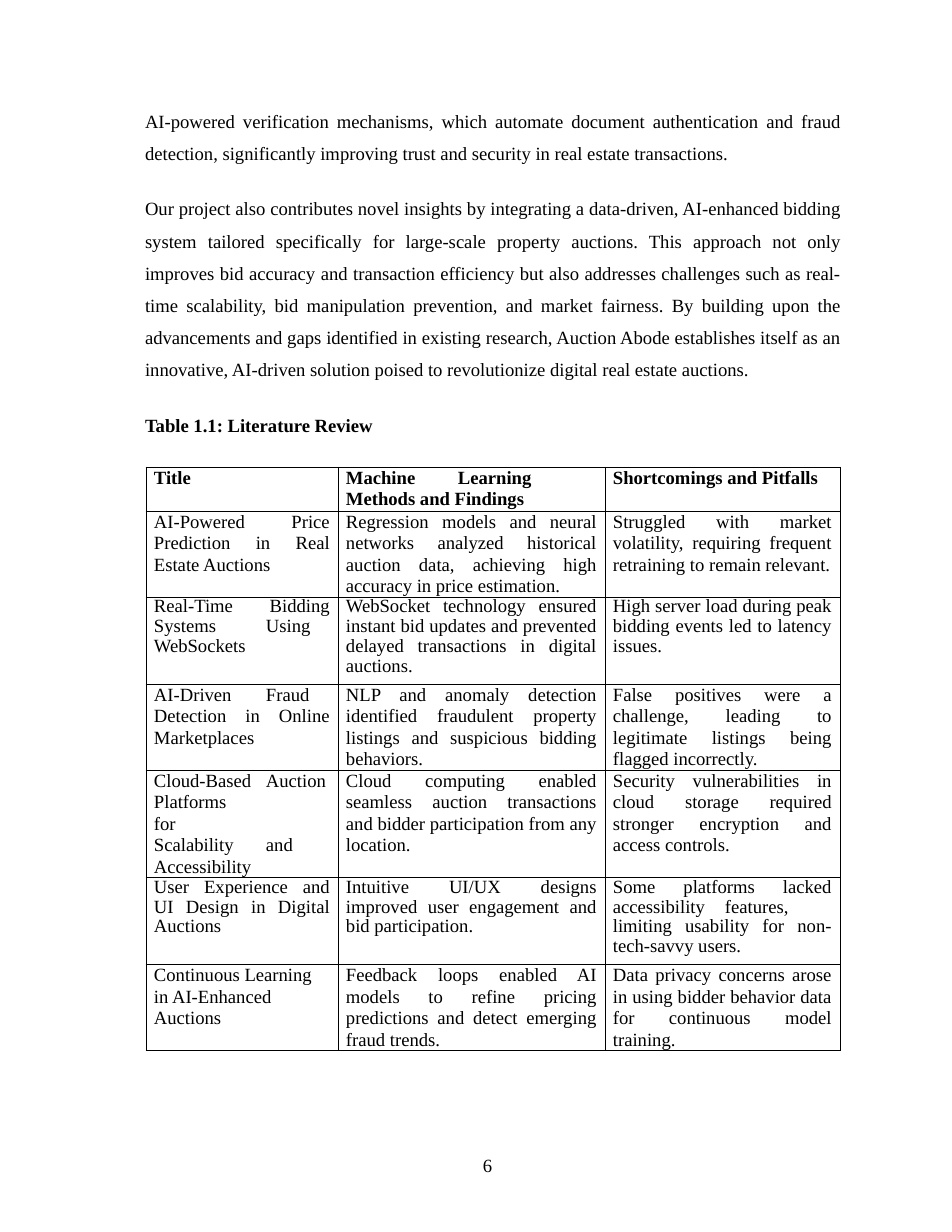
import lxml.etree
import pptx
import pptx.dml.color
import pptx.enum.text
import pptx.oxml.ns
import pptx.util

EMU_PER_PX = 914400 // 112
BLACK = pptx.dml.color.RGBColor(0x00, 0x00, 0x00)
WHITE = pptx.dml.color.RGBColor(0xFF, 0xFF, 0xFF)
LEFT = pptx.enum.text.PP_ALIGN.LEFT
JUSTIFY = pptx.enum.text.PP_ALIGN.JUSTIFY
FIXED = pptx.util.Pt(13.8)
TIGHT = 0.96

INTRODUCTION = (
    "AI-powered verification mechanisms, which automate document authentication and fraud "
    "detection, significantly improving trust and security in real estate transactions."
)
CONTRIBUTION = (
    "Our project also contributes novel insights by integrating a data-driven, AI-enhanced "
    "bidding system tailored specifically for large-scale property auctions. This approach not "
    "only improves bid accuracy and transaction efficiency but also addresses challenges such as "
    "real-time scalability, bid manipulation prevention, and market fairness. By building upon "
    "the advancements and gaps identified in existing research, Auction Abode establishes itself "
    "as an innovative, AI-driven solution poised to revolutionize digital real estate auctions."
)

COLUMN_WIDTHS = [192, 267, 235]
ROW_HEIGHTS = [44, 86, 87, 86, 87, 87, 86]
ROWS = [
    ["Title", "Machine\tLearning\tMethods and Findings", "Shortcomings and Pitfalls"],
    ["AI-Powered Price Prediction in Real Estate Auctions",
     "Regression models and neural networks analyzed historical auction data, achieving high "
     "accuracy in price estimation.",
     "Struggled with market volatility, requiring frequent retraining to remain relevant."],
    ["Real-Time Bidding Systems\tUsing WebSockets",
     "WebSocket technology ensured instant bid updates and prevented delayed transactions in "
     "digital auctions.",
     "High server load during peak bidding events led to latency issues."],
    ["AI-Driven\tFraud Detection in Online Marketplaces",
     "NLP and anomaly detection identified fraudulent property listings and suspicious bidding "
     "behaviors.",
     "False positives were a challenge, leading to legitimate listings being flagged "
     "incorrectly."],
    ["Cloud-Based\tAuction Platforms\t\tfor\nScalability\tand Accessibility",
     "Cloud computing enabled seamless auction transactions and bidder participation from any "
     "location.",
     "Security vulnerabilities in cloud storage required stronger encryption and access "
     "controls."],
    ["User Experience and UI Design in Digital Auctions",
     "Intuitive UI/UX designs improved user engagement and bid participation.",
     "Some platforms lacked accessibility\tfeatures, limiting usability for non- tech-savvy "
     "users."],
    ["Continuous Learning in AI-Enhanced Auctions",
     "Feedback loops enabled AI models to refine pricing predictions and detect emerging fraud "
     "trends.",
     "Data privacy concerns arose in using bidder behavior data for continuous model training."],
]
TIGHT_ROWS = {2, 5}
LEFT_ALIGNED = {(4, 0), (6, 0)}
# Tab stops in px for each paragraph of a cell, keyed by (row, column).
TAB_STOPS = {
    (0, 1): [[96, 188]],
    (2, 0): [[139]],
    (3, 0): [[140]],
    (4, 0): [[123, 161], [157]],
    (5, 2): [[162]],
}


def px(length):
    return pptx.util.Emu(length * EMU_PER_PX)


def write_paragraph(paragraph, text, *, bold=False, align=LEFT, spacing=1.0, before=0,
                    indent=0, right_indent=0, tabs=()):
    paragraph.text = text
    paragraph.alignment = align
    paragraph.line_spacing = spacing
    paragraph.space_before = pptx.util.Pt(before)
    for run in paragraph.runs:
        run.font.name = "Times New Roman"
        run.font.size = pptx.util.Pt(12)
        run.font.bold = bold
        run.font.color.rgb = BLACK
    properties = paragraph._p.get_or_add_pPr()
    properties.set("marL", str(px(indent)))
    properties.set("marR", str(px(right_indent)))
    properties.set("indent", "0")
    if tabs:
        tab_list = lxml.etree.SubElement(properties, pptx.oxml.ns.qn("a:tabLst"))
        for stop in tabs:
            lxml.etree.SubElement(tab_list, pptx.oxml.ns.qn("a:tab"),
                                  pos=str(px(stop)), algn="l")


def outline_cell(cell):
    properties = cell._tc.get_or_add_tcPr()
    for side in ("lnL", "lnR", "lnT", "lnB"):
        line = lxml.etree.SubElement(properties, pptx.oxml.ns.qn(f"a:{side}"),
                                     w=str(pptx.util.Pt(0.5)))
        fill = lxml.etree.SubElement(line, pptx.oxml.ns.qn("a:solidFill"))
        lxml.etree.SubElement(fill, pptx.oxml.ns.qn("a:srgbClr"), val=str(BLACK))


class Page:
    """Holds the current slide and the style of its elements."""

    cell_indent = 8

    def __init__(self, slide):
        self.slide = slide

    def text_box(self, left, top, width, height, paragraphs):
        """Add a box from (text, format) pairs."""
        shape = self.slide.shapes.add_textbox(px(left), px(top), px(width), px(height))
        frame = shape.text_frame
        frame.word_wrap = True
        frame.margin_left = frame.margin_right = frame.margin_bottom = 0
        frame.margin_top = 0
        for index, (text, style) in enumerate(paragraphs):
            paragraph = frame.add_paragraph() if index else frame.paragraphs[0]
            write_paragraph(paragraph, text, **style)
        return shape

    def table(self, left, top):
        shape = self.slide.shapes.add_table(
            len(ROWS), len(COLUMN_WIDTHS), px(left), px(top),
            px(sum(COLUMN_WIDTHS)), px(sum(ROW_HEIGHTS)))
        table = shape.table
        table.first_row = table.horz_banding = False
        for column, width in zip(table.columns, COLUMN_WIDTHS):
            column.width = px(width)
        for row_index, (row, height) in enumerate(zip(table.rows, ROW_HEIGHTS)):
            row.height = px(height)
            for column_index, cell in enumerate(row.cells):
                self.table_cell(cell, row_index, column_index)

    def table_cell(self, cell, row, column):
        outline_cell(cell)
        cell.fill.solid()
        cell.fill.fore_color.rgb = WHITE
        cell.margin_left = cell.margin_right = cell.margin_top = cell.margin_bottom = 0
        is_left = row == 0 or (row, column) in LEFT_ALIGNED
        stops = TAB_STOPS.get((row, column), [])
        for index, text in enumerate(ROWS[row][column].split("\n")):
            frame = cell.text_frame
            paragraph = frame.add_paragraph() if index else frame.paragraphs[0]
            write_paragraph(
                paragraph, text, bold=row == 0, align=LEFT if is_left else JUSTIFY,
                spacing=TIGHT if row in TIGHT_ROWS else FIXED,
                indent=self.cell_indent, right_indent=self.cell_indent,
                tabs=stops[index] if stops else ())


def main():
    presentation = pptx.Presentation()
    presentation.slide_width = pptx.util.Inches(8.5)
    presentation.slide_height = pptx.util.Inches(11)
    page = Page(presentation.slides.add_slide(presentation.slide_layouts[6]))

    page.text_box(475, 1154, 36, 24,
                  [("6", {"indent": 8, "spacing": pptx.util.Pt(14.1)})])
    page.text_box(144, 100, 698, 336, [
        (INTRODUCTION, {"align": JUSTIFY, "spacing": 1.43, "before": 1, "indent": 1}),
        (CONTRIBUTION, {"align": JUSTIFY, "spacing": 1.44, "before": 15, "indent": 1}),
        ("Table 1.1: Literature Review",
         {"align": JUSTIFY, "bold": True, "before": 21, "indent": 1}),
    ])
    page.table(146, 467)
    presentation.save("out.pptx")


if __name__ == "__main__":
    main()
